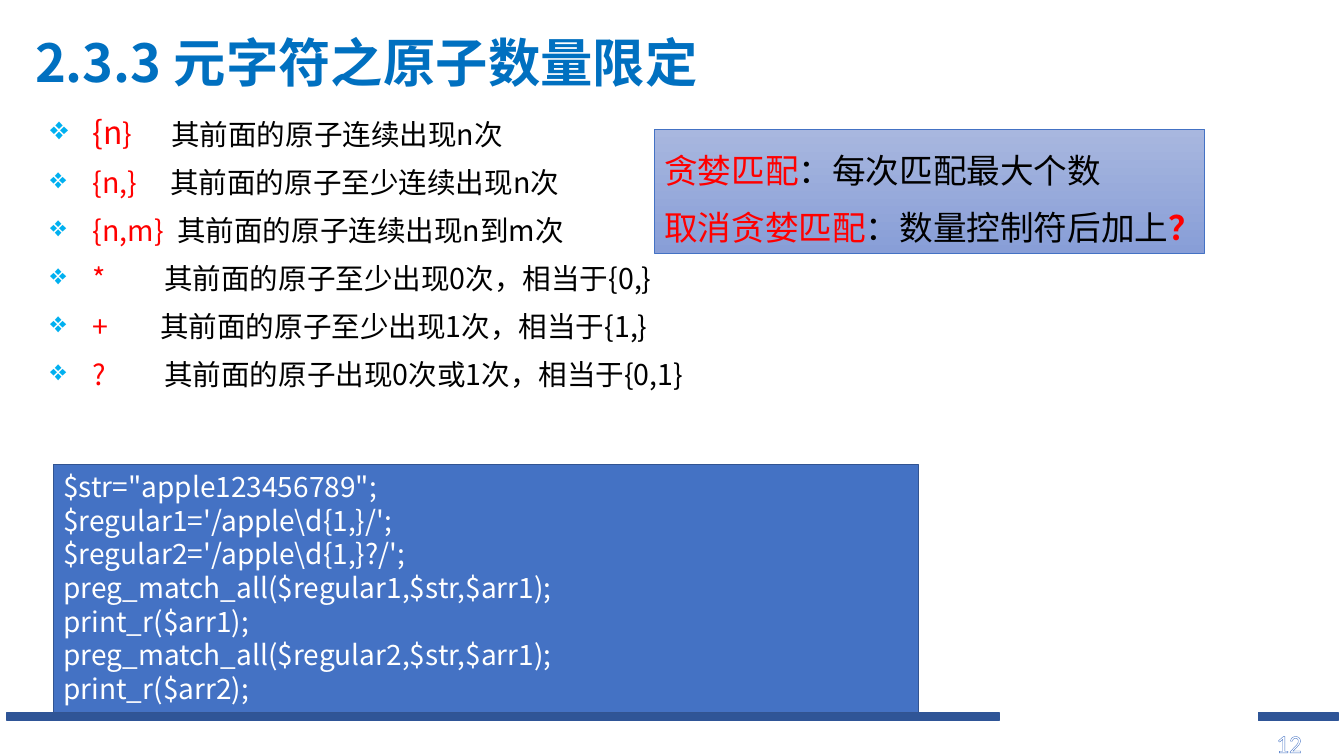
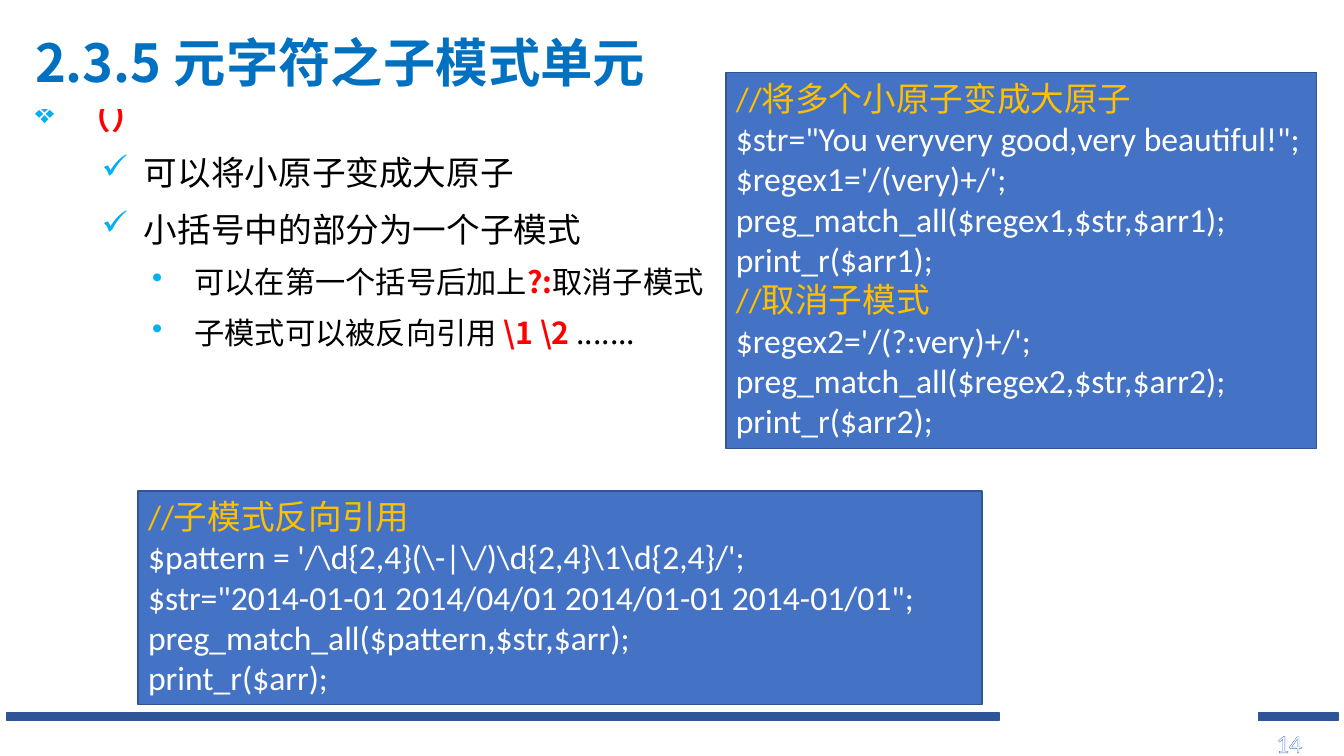
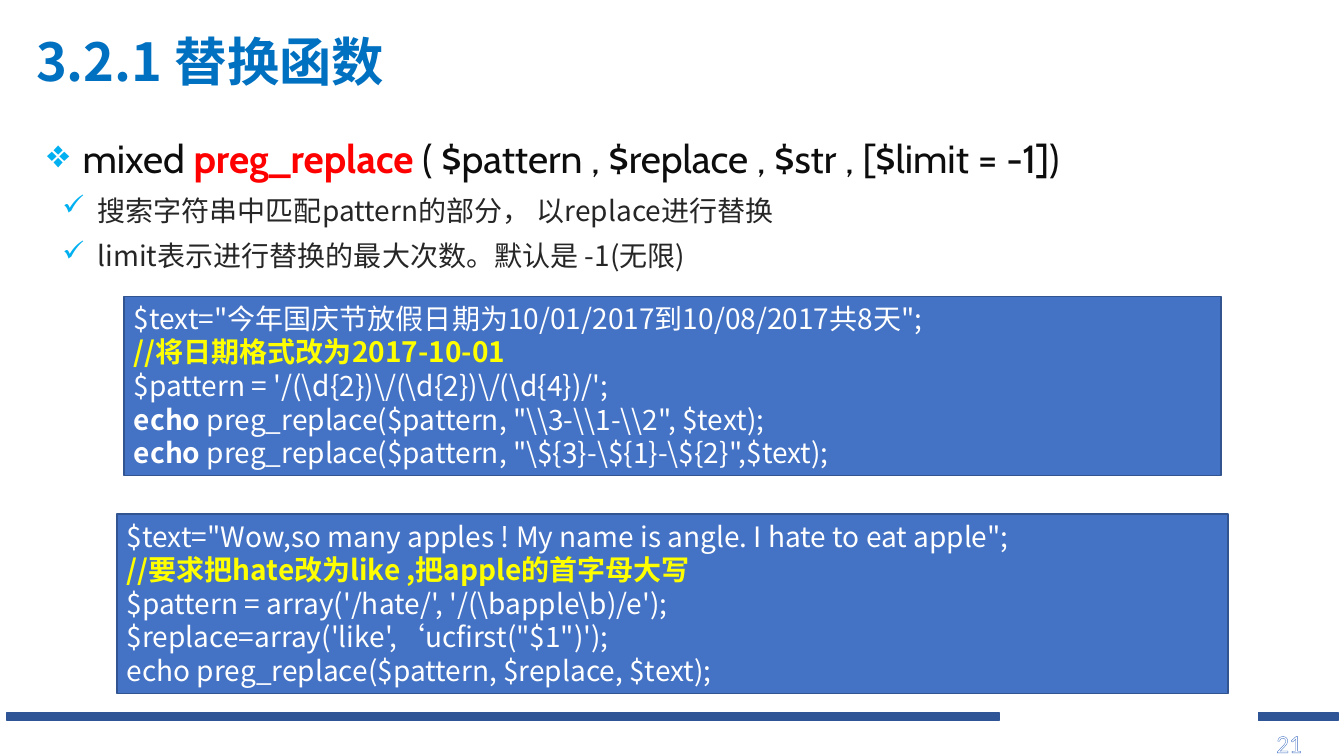
from lxml import etree
from pptx import Presentation
from pptx.dml import color
from pptx.enum import shapes, text
from pptx.oxml import ns
from pptx.util import Inches, Pt

COLORS = {
    "band": "2F5597", "title": "0070C0", "bullet": "00B0F0", "red": "FF0000",
    "black": "000000", "white": "FFFFFF", "code": "4472C4", "edge": "325491",
    "orange": "FFC000", "yellow": "FFFF00", "dark": "0D0D0D", "grey": "262626",
    "light": "A8B7DF", "deep": "889ED7", "number": "8FAADC",
}
NOTO, CALIBRI, CABIN = "Noto Sans CJK SC", "Calibri", "Cabin"
LINE = 1.2


def rgb(name):
    return color.RGBColor.from_string(COLORS[name])


def add_xml(parent, tag, **attrs):
    return etree.SubElement(parent, ns.qn(tag), attrs)


def add_para(tf, runs, size, font=NOTO, spacing=1, line=None,
             bullet=None, left=0, hang=0):
    p = tf.paragraphs[0]
    if p.runs:
        p = tf.add_paragraph()
    p.alignment = text.PP_ALIGN.LEFT
    p.line_spacing = Pt(line or round(size * LINE * spacing, 1))
    p.space_before = Pt(0)
    pPr = p._p.get_or_add_pPr()
    pPr.set("marL", str(Inches(left)))
    pPr.set("indent", str(Inches(-hang)))
    if bullet:
        add_xml(add_xml(pPr, "a:buClr"), "a:srgbClr", val=COLORS["bullet"])
        add_xml(pPr, "a:buChar", char=bullet)
    p.font.size = Pt(size)
    p.font.name = font
    add_xml(pPr.find(ns.qn("a:defRPr")), "a:ea", typeface=NOTO)
    for words, shade, *style in runs:
        r = p.add_run()
        r.text = words
        r.font.color.rgb = rgb(shade)
        r.font.bold = "bold" in style
        for run_size in (s for s in style if s != "bold"):
            r.font.size = Pt(run_size)
    return p


def add_text(slide, box):
    sp = slide.shapes.add_textbox(*map(Inches, box))
    sp.text_frame.word_wrap = True
    return sp


def add_rect(slide, box, fill, edge, width=1):
    sp = slide.shapes.add_shape(shapes.MSO_SHAPE.RECTANGLE, *map(Inches, box))
    sp.shadow.inherit = False
    sp.fill.solid()
    sp.fill.fore_color.rgb = rgb(fill)
    sp.line.color.rgb = rgb(edge)
    sp.line.width = Pt(width)
    sp.text_frame.word_wrap = True
    sp.text_frame.vertical_anchor = text.MSO_ANCHOR.TOP
    return sp


def add_footer(slide, number):
    for left, width in ((0.07, 9.84), (12.48, 0.79)):
        add_rect(slide, (left, 7.07, width, 0.08), "band", "band")
    tf = add_text(slide, (12.56, 7.17, 0.71, 0.4)).text_frame
    p = tf.paragraphs[0]
    p.font.size = Pt(18)
    p.font.name = CALIBRI
    r = p.add_run()
    r.text = str(number)
    rPr = r._r.get_or_add_rPr()
    ln = add_xml(rPr, "a:ln", w=str(Pt(1)))
    add_xml(add_xml(ln, "a:solidFill"), "a:srgbClr", val=COLORS["code"])
    patt = add_xml(rPr, "a:pattFill", prst="ltDnDiag")
    add_xml(add_xml(patt, "a:fgClr"), "a:srgbClr", val=COLORS["number"])
    add_xml(add_xml(patt, "a:bgClr"), "a:srgbClr", val=COLORS["white"])


def add_title(slide, title, box=(0.25, 0.19, 12, 0.89), filled=False):
    sp = add_text(slide, box)
    if filled:
        sp.fill.solid()
        sp.fill.fore_color.rgb = rgb("white")
    sp.text_frame.vertical_anchor = text.MSO_ANCHOR.MIDDLE
    add_para(sp.text_frame, [(title, "title", "bold")], 37.4, line=42)


def add_code(slide, box, lines, size=20, font=NOTO):
    tf = add_rect(slide, box, "code", "edge").text_frame
    for line in lines:
        runs = [(line, "white")] if isinstance(line, str) else line
        add_para(tf, runs, size, font)


def add_quantifiers(slide, box, rows):
    left, top, width, height = box
    marks = add_text(slide, (left, top, 1.5, height)).text_frame
    notes = add_text(slide, (left, top, width, height)).text_frame
    for i, (mark, indent, note) in enumerate(rows):
        line = 34.3 if i else 38.1
        add_para(marks, mark, 20.4, line=line, bullet="❖", left=0.42, hang=0.42)
        add_para(notes, [(note, "black")], 20.4, line=line, left=indent)


def add_greedy_note(slide, box):
    sp = add_rect(slide, box, "light", "code", 0.5)
    sp.fill.gradient()
    sp.fill.gradient_angle = 270
    for stop, name in zip(sp.fill.gradient_stops, ("light", "deep")):
        stop.color.rgb = rgb(name)
    for runs in (
        [("贪婪匹配", "red"), ("：每次匹配最大个数", "black")],
        [("取消贪婪匹配", "red"), ("：数量控制符后加上", "black"),
         ("？", "red", "bold")],
    ):
        add_para(sp.text_frame, runs, 24, spacing=1.4)


def quantifier_slide(slide):
    add_quantifiers(slide, (0.4, 0.92, 12.45, 3.69), [
        ([("{n", "red", 22.7), ("}", "red")], 1.2, "其前面的原子连续出现n次"),
        ([("{n,}", "red")], 1.19, "其前面的原子至少连续出现n次"),
        ([("{n,m}", "red")], 1.26, "其前面的原子连续出现n到m次"),
        ([("*", "red")], 1.13, "其前面的原子至少出现0次，相当于{0,}"),
        ([("+", "red")], 1.09, "其前面的原子至少出现1次，相当于{1,}"),
        ([("?", "red")], 1.13, "其前面的原子出现0次或1次，相当于{0,1}"),
    ])
    add_title(slide, "2.3.3 元字符之原子数量限定")
    add_greedy_note(slide, (6.49, 1.28, 5.46, 1.23))
    add_code(slide, (0.53, 4.61, 8.58, 2.46), [
        '$str="apple123456789";',
        r"$regular1='/apple\d{1,}/';",
        r"$regular2='/apple\d{1,}?/';",
        "preg_match_all($regular1,$str,$arr1);",
        "print_r($arr1);",
        "preg_match_all($regular2,$str,$arr1);",
        "print_r($arr2);",
    ])


def subpattern_slide(slide):
    tf = add_text(slide, (0.25, 0.74, 12.7, 6.05)).text_frame
    for runs, size, bullet, left in (
        ([("（）", "red", "bold")], 24, "❖", 0.42),
        ([("可以将小原子变成大原子", "black")], 24, "✓", 1.08),
        ([("小括号中的部分为一个子模式", "black")], 24, "✓", 1.08),
        ([("可以在第一个括号后加上", "black"), ("?:", "red", "bold"),
          ("取消子模式", "black")], 21.6, "•", 1.58),
        ([("子模式可以被反向引用 ", "black"), (r"\1 \2", "red", "bold"),
          (" .......", "black")], 21.6, "•", 1.58),
    ):
        add_para(tf, runs, size, spacing=1.4, bullet=bullet, left=left, hang=0.42)
    add_title(slide, "2.3.5 元字符之子模式单元", (0.25, 0.19, 9.77, 0.89), True)
    add_code(slide, (1.37, 4.87, 8.37, 2.12), [
        [("//子模式反向引用", "orange")],
        r"$pattern = '/\d{2,4}(\-|\/)\d{2,4}\1\d{2,4}/';",
        '$str="2014-01-01 2014/04/01 2014/01-01 2014-01/01";',
        "preg_match_all($pattern,$str,$arr);",
        "print_r($arr);",
    ], 24, CALIBRI)
    add_code(slide, (7.2, 0.72, 5.86, 3.73), [
        [("//将多个小原子变成大原子", "orange")],
        '$str="You veryvery good,very beautiful!";',
        "$regex1='/(very)+/';",
        "preg_match_all($regex1,$str,$arr1);",
        "print_r($arr1);",
        [("//取消子模式", "orange")],
        "$regex2='/(?:very)+/';",
        "preg_match_all($regex2,$str,$arr2);",
        "print_r($arr2);",
    ], 24, CALIBRI)


def replace_slide(slide):
    tf = add_text(slide, (0.37, 1.12, 12.82, 2.64)).text_frame
    add_para(tf, [
        ("mixed ", "dark"), ("preg_replace", "red", "bold"),
        (" ( $pattern , $replace , $str , [$limit = -1])", "dark"),
    ], 28, CABIN, 1.35, bullet="❖", left=0.35, hang=0.35)
    for words in ("搜索字符串中匹配pattern的部分， 以replace进行替换",
                  "limit表示进行替换的最大次数。默认是 -1(无限)"):
        add_para(tf, [(words, "grey")], 20, spacing=1.35,
                 bullet="✓", left=0.5, hang=0.35)
    add_title(slide, "3.2.1 替换函数", (0.26, 0, 12, 1.25))
    add_code(slide, (1.23, 2.94, 10.88, 1.78), [
        '$text="今年国庆节放假日期为10/01/2017到10/08/2017共8天";',
        [("//将日期格式改为2017-10-01", "yellow", "bold")],
        r"$pattern = '/(\d{2})\/(\d{2})\/(\d{4})/';",
        [("echo", "white", "bold"),
         (r' preg_replace($pattern, "\\3-\\1-\\2", $text);', "white")],
        [("echo", "white", "bold"),
         (r' preg_replace($pattern, "\${3}-\${1}-\${2}",$text);', "white")],
    ])
    add_code(slide, (1.16, 5.1, 11.02, 1.78), [
        '$text="Wow,so many apples ! My name is angle. I hate to eat apple";',
        [("//要求把hate改为like ,把apple的首字母大写", "yellow", "bold")],
        r"$pattern = array('/hate/', '/(\bapple\b)/e');",
        "$replace=array('like',‘ucfirst(\"$1\")');",
        "echo preg_replace($pattern, $replace, $text);",
    ])


def main():
    prs = Presentation()
    prs.slide_width, prs.slide_height = Inches(13.33), Inches(7.5)
    for number, build in ((12, quantifier_slide), (14, subpattern_slide),
                          (21, replace_slide)):
        slide = prs.slides.add_slide(prs.slide_layouts[6])
        add_footer(slide, number)
        build(slide)
    prs.save("out.pptx")


if __name__ == "__main__":
    main()
